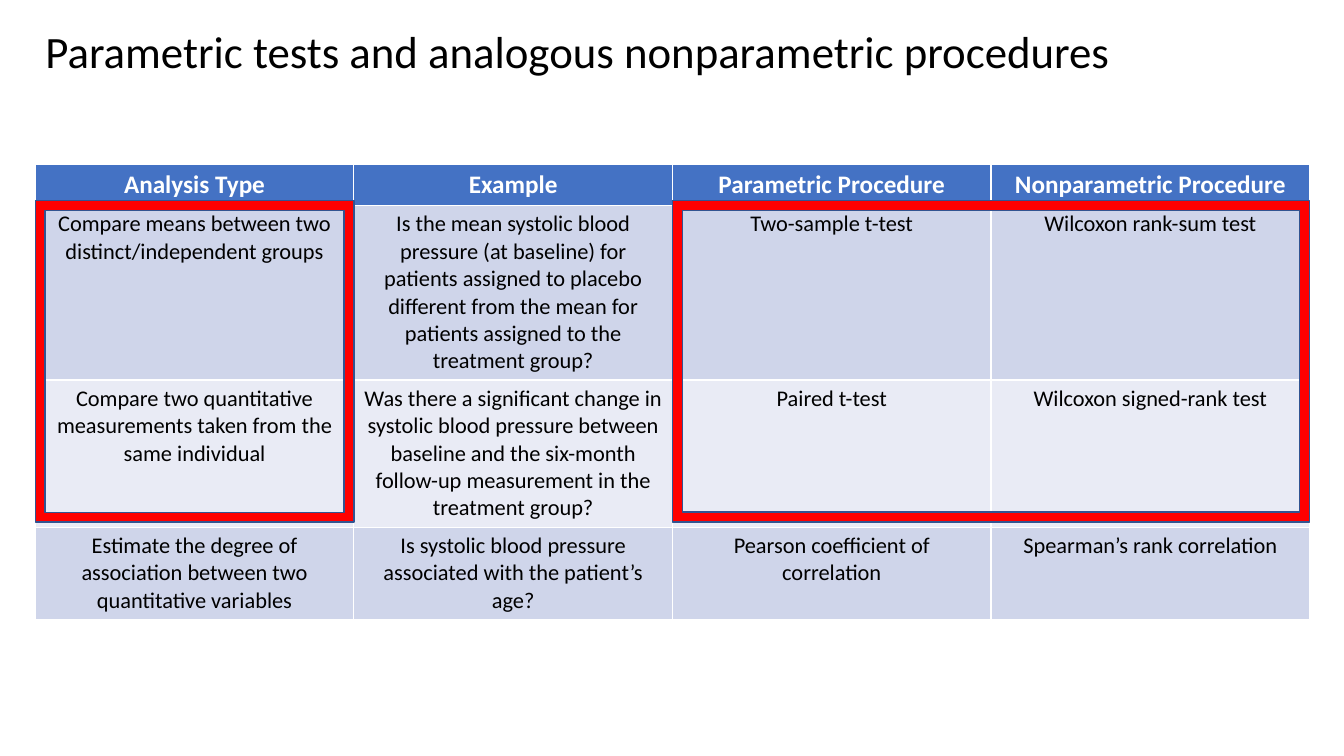
"""Build a slide that pairs parametric tests with nonparametric procedures."""
from pptx import Presentation
from pptx.dml.color import RGBColor
from pptx.enum import shapes, text
from pptx.util import Inches, Pt


def paint(fill, color):
    fill.solid()
    fill.fore_color.rgb = RGBColor.from_string(color)


def write(para, words, size, color, bold=False):
    run = para.add_run()
    run.text = words
    run.font.name = "Calibri"
    run.font.size = Pt(size)
    run.font.bold = bold
    run.font.color.rgb = RGBColor.from_string(color)


deck = Presentation()
deck.slide_width, deck.slide_height = Inches(13.33), Inches(7.5)
slide = deck.slides.add_slide(deck.slide_layouts[5])

title = slide.shapes.title
title.left, title.top = Inches(0.35), Inches(0.13)
title.width, title.height = Inches(10.77), Inches(0.81)
frame = title.text_frame
frame.auto_size = text.MSO_AUTO_SIZE.NONE
frame.vertical_anchor = text.MSO_ANCHOR.MIDDLE
para = frame.paragraphs[0]
para.alignment = text.PP_ALIGN.LEFT
para.line_spacing = 0.9
write(para, "Parametric tests and analogous nonparametric procedures", 32, "000000")

rows = [
    ("Analysis Type", "Example", "Parametric Procedure", "Nonparametric Procedure"),
    ("Compare means between two distinct/independent groups",
     "Is the mean systolic blood pressure (at baseline) for patients assigned to "
     "placebo different from the mean for patients assigned to the treatment group?",
     "Two-sample t-test", "Wilcoxon rank-sum test"),
    ("Compare two quantitative measurements taken from the same individual",
     "Was there a significant change in systolic blood pressure between baseline "
     "and the six-month follow-up measurement in the treatment group?",
     "Paired t-test", "Wilcoxon signed-rank test"),
    ("Estimate the degree of association between two quantitative variables",
     "Is systolic blood pressure associated with the patient’s age?",
     "Pearson coefficient of correlation", "Spearman’s rank correlation"),
]
heights = [0.41, 1.71, 1.46, 0.91]
fills = ["4472C4", "CFD5EA", "E9EBF5", "CFD5EA"]
left, wide = 0.35, 3.16

table = slide.shapes.add_table(
    len(rows), len(rows[0]), Inches(left), Inches(1.63),
    Inches(4 * wide), Inches(sum(heights))).table
for col in table.columns:
    col.width = Inches(wide)
for r, (row, height, fill) in enumerate(zip(rows, heights, fills)):
    table.rows[r].height = Inches(height)
    head = r == 0
    for c, words in enumerate(row):
        cell = table.cell(r, c)
        paint(cell.fill, fill)
        para = cell.text_frame.paragraphs[0]
        para.alignment = text.PP_ALIGN.CENTER
        write(para, words, 18 if head else 16, "FFFFFF" if head else "000000", head)

for start, span in [(0, 1), (2, 2)]:
    box = slide.shapes.add_shape(
        shapes.MSO_SHAPE.FRAME, Inches(left + start * wide), Inches(1.99),
        Inches(span * wide), Inches(3.19))
    box.adjustments[0] = 0.031
    box.shadow.inherit = False
    paint(box.fill, "FF0000")
    paint(box.line.fill, "325491")
    box.line.width = Pt(1)

deck.save("out.pptx")
